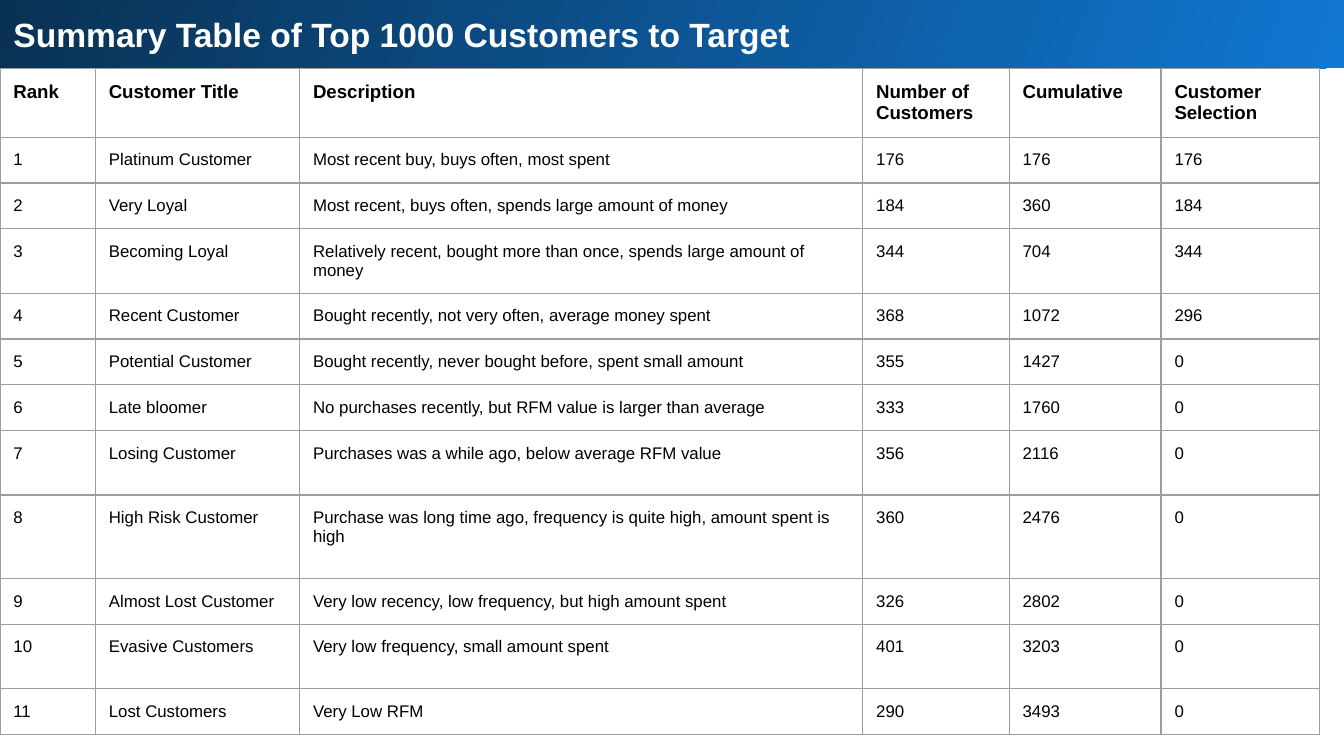
from lxml import etree
from pptx import Presentation
from pptx.dml.color import RGBColor
from pptx.enum.shapes import MSO_SHAPE
from pptx.enum.text import MSO_ANCHOR, MSO_AUTO_SIZE, PP_ALIGN
from pptx.oxml.ns import qn
from pptx.util import Inches, Pt

RECT = MSO_SHAPE.RECTANGLE
TOP = MSO_ANCHOR.TOP
LEFT = PP_ALIGN.LEFT
FIXED = MSO_AUTO_SIZE.NONE

TITLE = "Summary Table of Top 1000 Customers to Target"
HEADS = ("Rank", "Customer Title", "Description", "Number of Customers",
         "Cumulative", "Customer Selection")
GROUPS = [
    ("Platinum Customer", "Most recent buy, buys often, most spent", 176, 176, 176),
    ("Very Loyal", "Most recent, buys often, spends large amount of money", 184, 360, 184),
    ("Becoming Loyal",
     "Relatively recent, bought more than once, spends large amount of money", 344, 704, 344),
    ("Recent Customer", "Bought recently, not very often, average money spent", 368, 1072, 296),
    ("Potential Customer", "Bought recently, never bought before, spent small amount",
     355, 1427, 0),
    ("Late bloomer", "No purchases recently, but RFM value is larger than average",
     333, 1760, 0),
    ("Losing Customer", "Purchases was a while ago, below average RFM value", 356, 2116, 0),
    ("High Risk Customer",
     "Purchase was long time ago, frequency is quite high, amount spent is high", 360, 2476, 0),
    ("Almost Lost Customer", "Very low recency, low frequency, but high amount spent",
     326, 2802, 0),
    ("Evasive Customers", "Very low frequency, small amount spent", 401, 3203, 0),
    ("Lost Customers", "Very Low RFM", 290, 3493, 0),
]
ROWS = [HEADS] + [(rank, *group) for rank, group in enumerate(GROUPS, 1)]

THEME = {
    "font": "Arial", "title": 18, "head": 10, "body": 9,
    "white": "FFFFFF", "ink": "000000", "grid": "9E9E9E",
    "bright": "1077D2", "dark": "093153",
}
WIDE = Inches(10)
HIGH = WIDE * 9 // 16
WIDTHS = (0.71, 1.52, 4.19, 1.09, 1.13, 1.18)
BASE = 0.34
TALL = {0: 0.51, 3: 0.48, 7: 0.48, 8: 0.62, 10: 0.48}
PAD = Inches(0.1)
RULE = Pt(0.75)


def tint(name):
    return RGBColor.from_string(THEME[name])


def style(frame, size, color, bold):
    for para in frame.paragraphs:
        para.alignment = LEFT
        for run in para.runs:
            run.font.name = THEME["font"]
            run.font.size = Pt(THEME[size])
            run.font.bold = bold
            run.font.color.rgb = tint(color)


def inset(box):
    box.margin_left = box.margin_right = PAD
    box.margin_top = box.margin_bottom = PAD
    box.vertical_anchor = TOP


def rule(cell):
    props = cell._tc.get_or_add_tcPr()
    for spot, side in enumerate(("lnL", "lnR", "lnT", "lnB")):
        line = etree.Element(qn("a:" + side), w=str(RULE))
        fill = etree.SubElement(line, qn("a:solidFill"))
        etree.SubElement(fill, qn("a:srgbClr"), val=THEME["grid"])
        props.insert(spot, line)


def add_band(slide):
    band = slide.shapes.add_shape(
        RECT, Inches(-0.02), Inches(-0.02), Inches(10.05), Inches(0.53))
    band.shadow.inherit = False
    band.line.fill.background()
    band.fill.gradient()
    band.fill.gradient_angle = 160
    for stop, name in zip(band.fill.gradient_stops, ("bright", "dark")):
        stop.color.rgb = tint(name)
    slide.shapes._spTree.insert(2, band._element)


def add_title(slide):
    title = slide.shapes.title
    title.left, title.top = Inches(0), Inches(0)
    title.width, title.height = Inches(9.37), Inches(0.35)
    frame = title.text_frame
    frame.text = TITLE
    frame.word_wrap = True
    frame.auto_size = FIXED
    inset(frame)
    style(frame, "title", "white", True)


def add_grid(slide):
    highs = [TALL.get(row, BASE) for row in range(len(ROWS))]
    table = slide.shapes.add_table(
        len(ROWS), len(HEADS), Inches(0), Inches(0.51),
        Inches(sum(WIDTHS)), Inches(sum(highs))).table
    table.first_row = table.horz_banding = False
    for col, width in zip(table.columns, WIDTHS):
        col.width = Inches(width)
    for row, high, values in zip(table.rows, highs, ROWS):
        row.height = Inches(high)
        head = values is HEADS
        for cell, value in zip(row.cells, values):
            cell.text_frame.text = str(value)
            inset(cell)
            style(cell.text_frame, "head" if head else "body", "ink", head)
            cell.fill.background()
            rule(cell)


def main():
    deck = Presentation()
    deck.slide_width, deck.slide_height = WIDE, HIGH
    slide = deck.slides.add_slide(deck.slide_layouts[5])
    add_band(slide)
    add_title(slide)
    add_grid(slide)
    deck.save("out.pptx")


if __name__ == "__main__":
    main()
